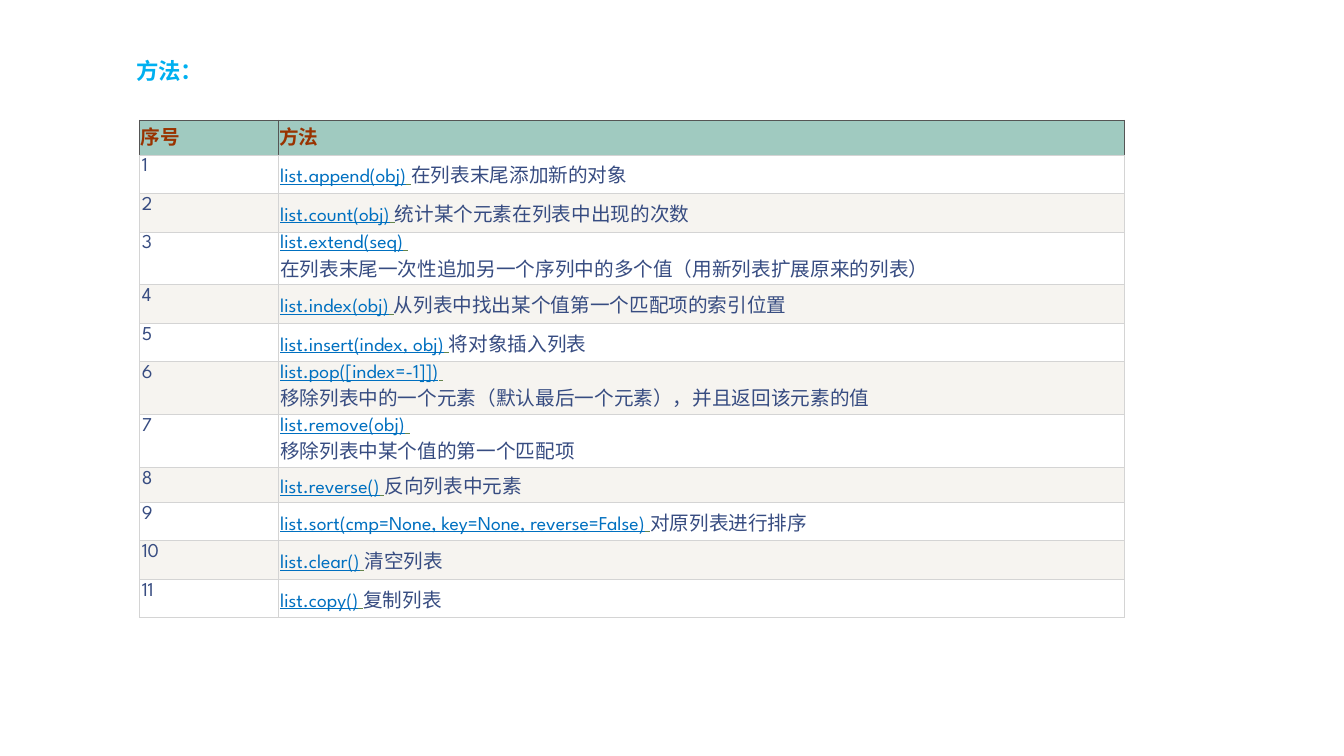
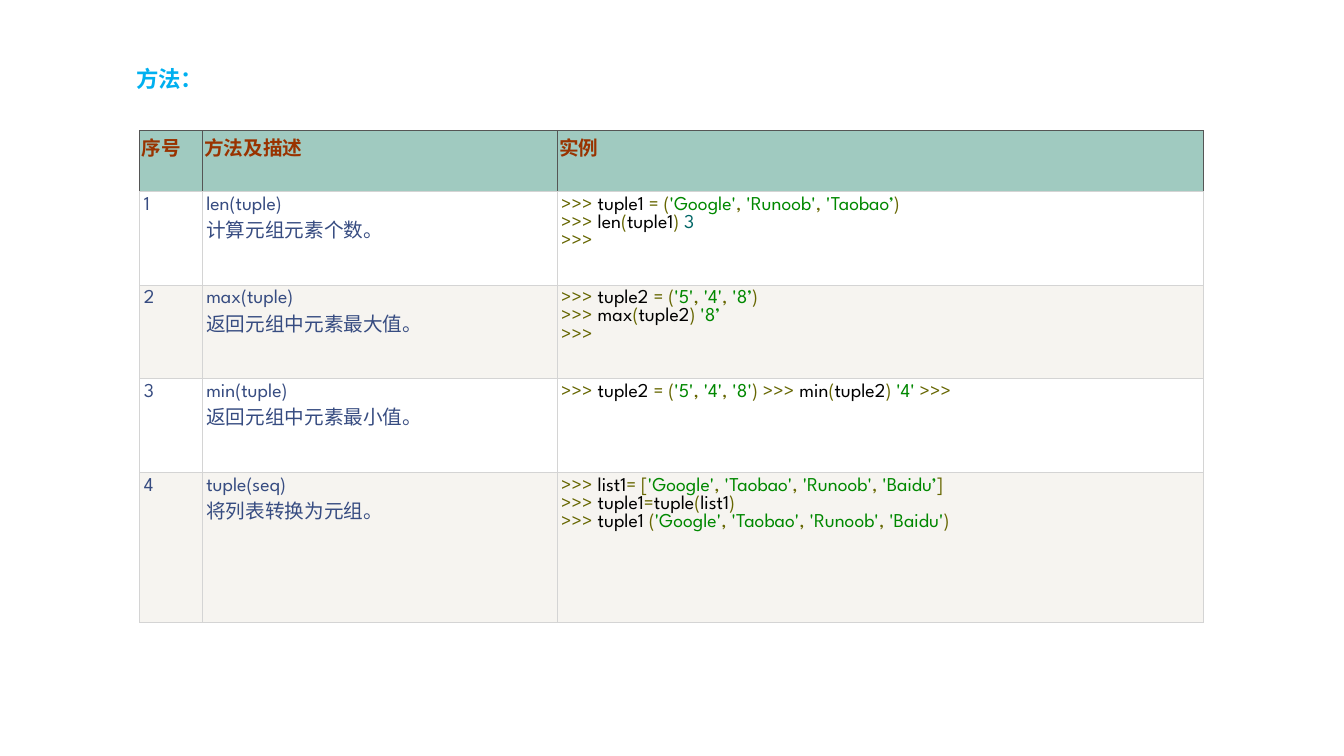
from dataclasses import dataclass

from lxml.etree import SubElement
from pptx import Presentation
from pptx.dml.color import RGBColor
from pptx.enum.text import MSO_ANCHOR as Anchor, MSO_AUTO_SIZE as AutoSize
from pptx.oxml.ns import qn
from pptx.util import Inches, Pt

# Shared look
COLORS = {
    "title": "00B0F0", "header": "993300", "header_fill": "A0CAC0",
    "text": "374C81", "link": "0070C0", "link_gap": "64854C",
    "odd_row": "FFFFFF", "even_row": "F6F4F0",
    "edge": "D4D4D4", "header_edge": "555555",
    "mark": "666600", "name": "000000", "string": "008800", "number": "006666",
}
LATIN_FONT, CHINESE_FONT = "League Spartan", "Noto Sans CJK SC"
SLIDE_WIDTH, SLIDE_HEIGHT = Inches(13.33), Inches(7.5)
TITLE_LEFT, TITLE_WIDTH, TITLE_BOTTOM = 9.15, 83.3, 90
TABLE_LEFT = 10.4


@dataclass
class TextRun:
    text: str
    color: str = "text"
    bold: bool = False
    underline: bool = False


Lines = list[list[TextRun]]


@dataclass
class MethodTable:
    """Tops, widths and heights are percentages of the slide's size."""
    title_top: float
    top: float
    columns: list[float]
    header_height: float
    row_heights: list[float]
    header: list[str]
    rows: list[list[Lines]]
    header_inset: float
    insets: tuple[float, float]
    last_anchor: Anchor


def across(percent: float) -> int:
    return round(SLIDE_WIDTH * percent / 100)


def down(percent: float) -> int:
    return round(SLIDE_HEIGHT * percent / 100)


def rgb(color: str) -> RGBColor:
    return RGBColor.from_string(COLORS[color])


# Text
def add_run(paragraph, part: TextRun, size: float = 14, latin: str = LATIN_FONT) -> None:
    run = paragraph.add_run()
    run.text = part.text
    font = run.font
    font.size, font.name = Pt(size), latin
    font.bold, font.underline = part.bold, part.underline
    font.color.rgb = rgb(part.color)
    east_asian = SubElement(run._r.get_or_add_rPr(), qn("a:ea"))
    east_asian.set("typeface", CHINESE_FONT)


def code_line(code: str) -> list[TextRun]:
    """Colour one line of Python: marks, names, strings and numbers."""
    runs: list[TextRun] = []
    in_string = False
    for letter in code:
        quote = letter in "'’"
        if in_string or quote:
            kind = "string"
        elif letter == " " and runs:
            kind = runs[-1].color
        elif letter.isalnum():
            in_name = runs and runs[-1].color == "name" and runs[-1].text[-1] != " "
            kind = "number" if letter.isdigit() and not in_name else "name"
        else:
            kind = "mark"
        in_string ^= quote
        if runs and runs[-1].color == kind:
            runs[-1].text += letter
        else:
            runs.append(TextRun(letter, kind))
    return runs


def linked_method(call: str, description: str, two_lines: bool) -> Lines:
    link = [TextRun(call, "link", underline=True),
            TextRun(" ", "link_gap", underline=True)]
    text = [TextRun(description)]
    return [link, text] if two_lines else [link + text]


# Slide parts
def add_title(slide, top: float) -> None:
    slide.shapes.title.element.getparent().remove(slide.shapes.title.element)
    body = slide.placeholders[1]
    body.left, body.top = across(TITLE_LEFT), down(top)
    body.width, body.height = across(TITLE_WIDTH), down(TITLE_BOTTOM - top)
    frame = body.text_frame
    frame.word_wrap, frame.auto_size = True, AutoSize.NONE
    frame.vertical_anchor = Anchor.TOP
    frame.margin_left = frame.margin_right = Inches(0.13)
    frame.margin_top = frame.margin_bottom = Inches(0.07)
    paragraph = frame.paragraphs[0]
    paragraph.line_spacing, paragraph.space_before = 0.95, Pt(0)
    properties = paragraph._p.get_or_add_pPr()
    properties.set("marL", "0")
    properties.set("indent", "0")
    SubElement(properties, qn("a:buNone"))
    add_run(paragraph, TextRun("方法：", "title", bold=True), 16, CHINESE_FONT)


def set_borders(cell, color: str) -> None:
    properties = cell._tc.get_or_add_tcPr()
    for side in "LRTB":
        line = SubElement(properties, qn(f"a:ln{side}"), w=str(Pt(0.75)))
        fill = SubElement(line, qn("a:solidFill"))
        shade = COLORS["edge" if side == "B" else color]
        SubElement(fill, qn("a:srgbClr"), val=shade)


def fill_cell(cell, lines: Lines, fill: str, edge: str,
              insets: tuple[float, float], anchor: Anchor) -> None:
    set_borders(cell, edge)
    cell.fill.solid()
    cell.fill.fore_color.rgb = rgb(fill)
    cell.margin_left = cell.margin_right = Inches(insets[0])
    cell.margin_top = cell.margin_bottom = Inches(insets[1])
    cell.vertical_anchor = anchor
    frame = cell.text_frame
    for index, line in enumerate(lines):
        paragraph = frame.add_paragraph() if index else frame.paragraphs[0]
        for part in line:
            add_run(paragraph, part)


def add_method_table(slide, content: MethodTable) -> None:
    heights = [content.header_height, *content.row_heights]
    table = slide.shapes.add_table(
        len(heights), len(content.columns), across(TABLE_LEFT), down(content.top),
        across(sum(content.columns)), down(sum(heights))).table
    table.first_row = table.horz_banding = False
    for column, width in zip(table.columns, content.columns):
        column.width = across(width)
    for row, height in zip(table.rows, heights):
        row.height = down(height)
    for column, label in enumerate(content.header):
        fill_cell(table.cell(0, column), [[TextRun(label, "header", bold=True)]],
                  "header_fill", "header_edge", (content.header_inset,) * 2, Anchor.TOP)
    for number, cells in enumerate(content.rows, 1):
        numbered = [[[TextRun(str(number))]], *cells]
        for column, lines in enumerate(numbered):
            last = column == len(numbered) - 1
            fill_cell(table.cell(number, column), lines,
                      "odd_row" if number % 2 else "even_row", "edge",
                      content.insets, content.last_anchor if last else Anchor.TOP)


# Content: call, description, description on its own line
LIST_METHODS = [
    ("list.append(obj)", "在列表末尾添加新的对象", False),
    ("list.count(obj)", "统计某个元素在列表中出现的次数", False),
    ("list.extend(seq)", "在列表末尾一次性追加另一个序列中的多个值（用新列表扩展原来的列表）", True),
    ("list.index(obj)", "从列表中找出某个值第一个匹配项的索引位置", False),
    ("list.insert(index, obj)", "将对象插入列表", False),
    ("list.pop([index=-1]])", "移除列表中的一个元素（默认最后一个元素），并且返回该元素的值", True),
    ("list.remove(obj)", "移除列表中某个值的第一个匹配项", True),
    ("list.reverse()", "反向列表中元素", False),
    ("list.sort(cmp=None, key=None, reverse=False)", "对原列表进行排序", False),
    ("list.clear()", "清空列表", False),
    ("list.copy()", "复制列表", False),
]
TUPLE_METHODS = [
    ("len(tuple)", "计算元组元素个数。",
     [">>> tuple1 = ('Google', 'Runoob', 'Taobao’)", ">>> len(tuple1) 3", ">>>"]),
    ("max(tuple)", "返回元组中元素最大值。",
     [">>> tuple2 = ('5', '4', '8’)", ">>> max(tuple2) '8’", ">>>"]),
    ("min(tuple)", "返回元组中元素最小值。",
     [">>> tuple2 = ('5', '4', '8') >>> min(tuple2) '4' >>>"]),
    ("tuple(seq)", "将列表转换为元组。",
     [">>> list1= ['Google', 'Taobao', 'Runoob', 'Baidu’]",
      ">>> tuple1=tuple(list1)",
      ">>> tuple1 ('Google', 'Taobao', 'Runoob', 'Baidu')"]),
]
TABLES = [
    MethodTable(
        title_top=6.9, top=15.9, columns=[10.3, 63], header_height=4.6,
        row_heights=[5.1, 5.1, 6.9, 5.1, 5.1, 6.9, 6.9, 4.6, 5.1, 5.1, 5.1],
        header=["序号", "方法"],
        rows=[[linked_method(*method)] for method in LIST_METHODS],
        header_inset=0.01, insets=(0.02, 0.03), last_anchor=Anchor.MIDDLE),
    MethodTable(
        title_top=8, top=17.3, columns=[4.65, 26.4, 48.1], header_height=8,
        row_heights=[12.4, 12.4, 12.4, 19.9],
        header=["序号", "方法及描述", "实例"],
        rows=[[[[TextRun(call)], [TextRun(description)]],
               [code_line(line) for line in code]]
              for call, description, code in TUPLE_METHODS],
        header_inset=0.02, insets=(0.04, 0.05), last_anchor=Anchor.TOP),
]


def main() -> None:
    presentation = Presentation()
    presentation.slide_width, presentation.slide_height = SLIDE_WIDTH, SLIDE_HEIGHT
    for content in TABLES:
        slide = presentation.slides.add_slide(presentation.slide_layouts[1])
        add_title(slide, content.title_top)
        add_method_table(slide, content)
    presentation.save("out.pptx")


if __name__ == "__main__":
    main()
